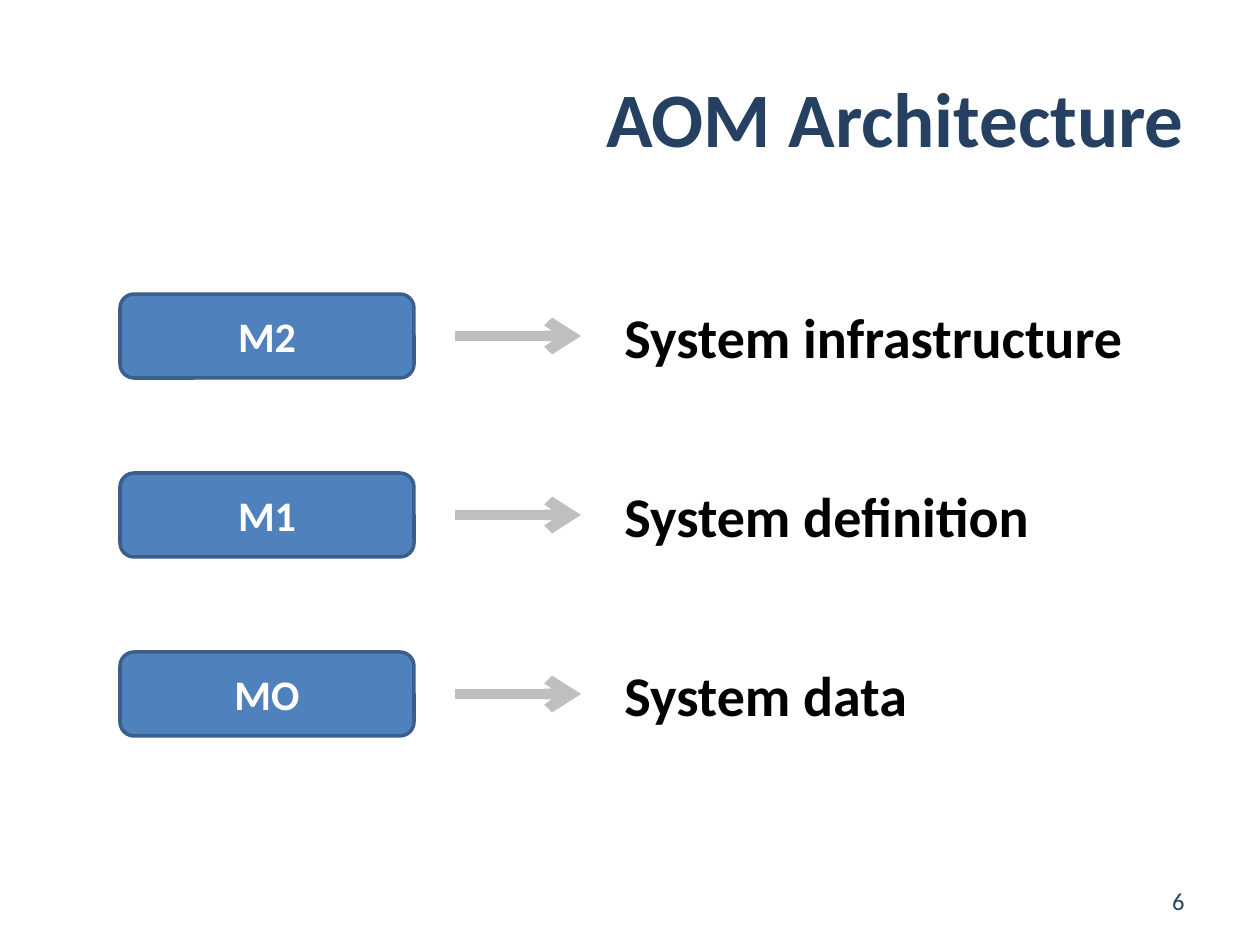
from lxml.etree import SubElement
from pptx import Presentation
from pptx.dml.color import RGBColor
from pptx.enum.shapes import MSO_CONNECTOR, MSO_SHAPE
from pptx.enum.text import MSO_ANCHOR, MSO_AUTO_SIZE, PP_ALIGN
from pptx.oxml.ns import qn
from pptx.util import Pt

EMU_PER_PIXEL = 914400 / 126
NAVY = "254061"
LEVELS = [  # level name, meaning, width of the meaning's text box
    ("M2", "System infrastructure", 528),
    ("M1", "System definition", 435),
    ("MO", "System data", 316),
]


def px(length):
    return round(length * EMU_PER_PIXEL)


def color(hex_string):
    return RGBColor.from_string(hex_string)


def write(shape, text, size, hex_color, align, anchor, bold=True):
    frame = shape.text_frame
    frame.word_wrap = True
    frame.vertical_anchor = anchor
    paragraph = frame.paragraphs[0]
    paragraph.alignment = align
    run = paragraph.add_run()
    run.text = text
    run.font.name = "Calibri"
    run.font.size = Pt(size)
    run.font.bold = bold
    run.font.color.rgb = color(hex_color)


def add_text(shapes, left, top, width, height, *style, **options):
    """Add a text box; style and options are those of write()."""
    box = shapes.add_textbox(px(left), px(top), px(width), px(height))
    write(box, *style, **options)
    return box


def add_level_box(shapes, left, top, width, height, name):
    box = shapes.add_shape(MSO_SHAPE.ROUNDED_RECTANGLE, px(left), px(top), px(width), px(height))
    box.shadow.inherit = False
    box.fill.solid()
    box.fill.fore_color.rgb = color("4F81BD")
    box.line.color.rgb = color("3A5F8C")
    box.line.width = Pt(2)
    write(box, name, 24, "FFFFFF", PP_ALIGN.CENTER, MSO_ANCHOR.MIDDLE)


def add_arrow(shapes, left, middle, length):
    arrow = shapes.add_connector(
        MSO_CONNECTOR.STRAIGHT, px(left), px(middle), px(left + length), px(middle)
    )
    arrow.line.color.rgb = color("BFBFBF")
    arrow.line.width = Pt(6)
    SubElement(arrow.line._get_or_add_ln(), qn("a:tailEnd"), type="arrow")
    SubElement(arrow._element.spPr, qn("a:effectLst"))


def add_level(slide, left, top, height, name, meaning, meaning_width):
    """Group one level's box, its arrow and its meaning."""
    shapes = slide.shapes.add_group_shape().shapes
    add_level_box(shapes, left, top, 294, height, name)
    add_arrow(shapes, left + 335, top + height // 2, 126)
    label = add_text(
        shapes, left + 492, top + 2, meaning_width, 81,
        meaning, 32, "000000", PP_ALIGN.LEFT, MSO_ANCHOR.TOP,
    )
    label.text_frame.word_wrap = False
    label.text_frame.auto_size = MSO_AUTO_SIZE.SHAPE_TO_FIT_TEXT


def add_levels(slide, left, top, row_height, pitch):
    for index, level in enumerate(LEVELS):
        add_level(slide, left, top + index * pitch, row_height, *level)


def main():
    presentation = Presentation()
    presentation.slide_width = px(1260)
    presentation.slide_height = px(945)
    slide = presentation.slides.add_slide(presentation.slide_layouts[6])
    add_text(slide.shapes, 63, 38, 1134, 158,
             "AOM Architecture", 44, NAVY, PP_ALIGN.RIGHT, MSO_ANCHOR.MIDDLE)
    add_levels(slide, 120, 294, 84, 179)
    add_text(slide.shapes, 903, 876, 294, 50,
             "6", 14, NAVY, PP_ALIGN.RIGHT, MSO_ANCHOR.MIDDLE, bold=False)
    presentation.save("out.pptx")


if __name__ == "__main__":
    main()
